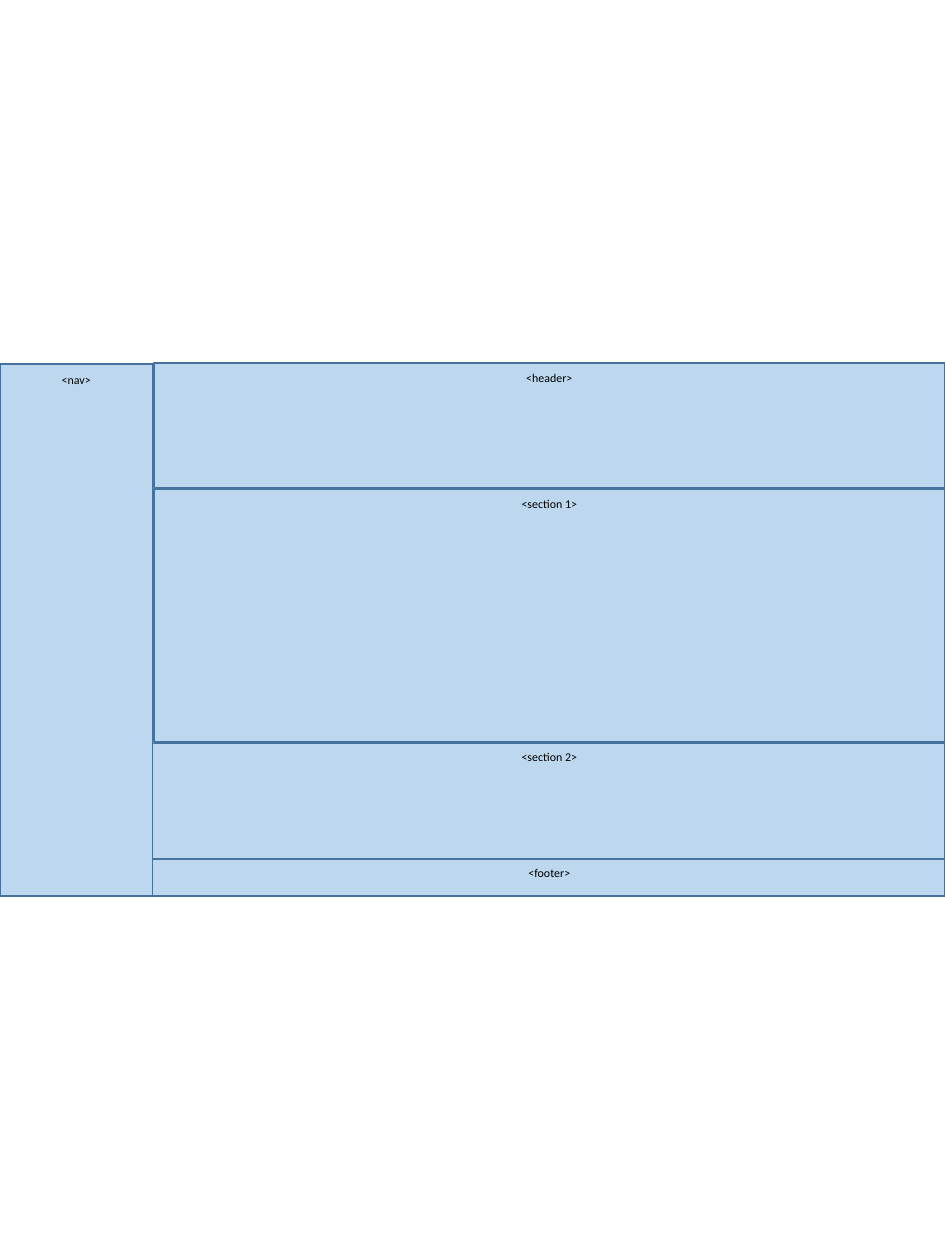
from pptx import Presentation
from pptx.dml.color import RGBColor
from pptx.enum.shapes import MSO_SHAPE
from pptx.enum.text import MSO_AUTO_SIZE, PP_ALIGN
from pptx.util import Inches, Pt

TOP, HEIGHT = 2.89, 4.22
NAV_W, PAGE_W = 1.21, 7.5
LABEL_W, LABEL_H = 1.14, 0.21


def add_box(left, top, width, height, fill="BDD7EE", line="43739E"):
    sp = s.shapes.add_shape(MSO_SHAPE.RECTANGLE, Inches(left), Inches(top),
                            Inches(width), Inches(height))
    sp.shadow.inherit = False
    sp.fill.solid()
    sp.fill.fore_color.rgb = RGBColor.from_string(fill)
    sp.line.color.rgb = RGBColor.from_string(line)
    sp.line.width = Pt(1)


def add_label(text, left, top, size=6.8, font="Calibri", color="000000"):
    tb = s.shapes.add_textbox(Inches(left), Inches(top),
                              Inches(LABEL_W), Inches(LABEL_H))
    tf = tb.text_frame
    tf.word_wrap = True
    tf.auto_size = MSO_AUTO_SIZE.SHAPE_TO_FIT_TEXT
    p = tf.paragraphs[0]
    p.alignment = PP_ALIGN.CENTER
    r = p.add_run()
    r.text = text
    r.font.size = Pt(size)
    r.font.name = font
    r.font.color.rgb = RGBColor.from_string(color)


prs = Presentation()
prs.slide_width = Inches(PAGE_W)
prs.slide_height = Inches(10)
s = prs.slides.add_slide(prs.slide_layouts[6])

# Page frame and navigation column
add_box(0, TOP, PAGE_W, HEIGHT, fill="E7E6E6", line="000000")
add_box(0, TOP, NAV_W, HEIGHT)
add_label("<nav>", (NAV_W - LABEL_W) / 2, TOP + 0.02)

# Content blocks: tag, left, top, height, label top
blocks = [
    ("<header>", 1.22, 2.88, 0.99, 2.89),
    ("<footer>", 1.21, 6.82, 0.29, 6.82),
    ("<section 1>", 1.22, 3.88, 2.01, 3.89),
    ("<section 2>", 1.21, 5.9, 0.92, 5.9),
]
for tag, left, top, height, label_top in blocks:
    add_box(left, top, PAGE_W - left, height)
    add_label(tag, 3.79, label_top)

prs.save("out.pptx")
